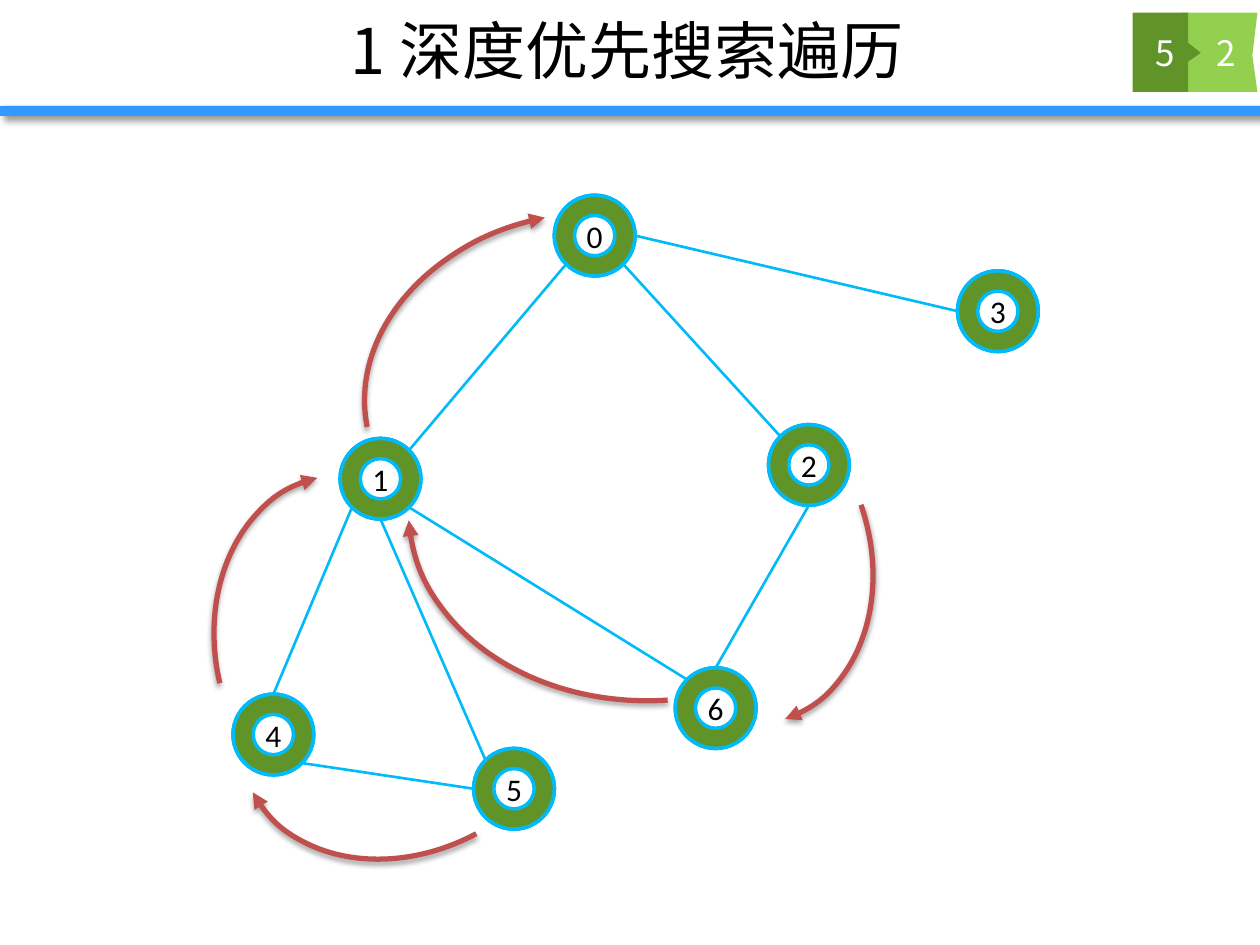
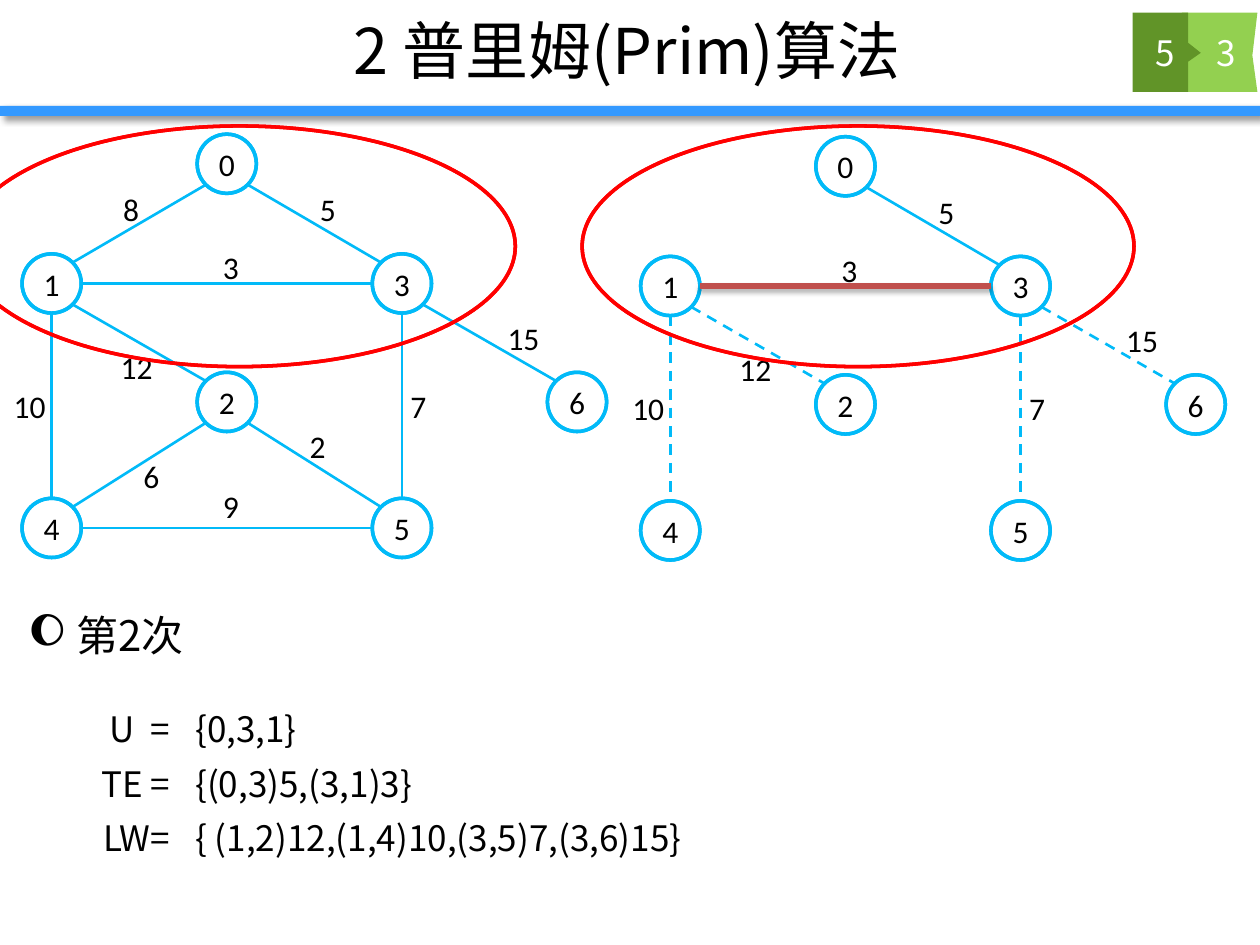
from dataclasses import dataclass
from math import cos, radians, sin
from typing import NamedTuple, Optional

from lxml.etree import SubElement
from pptx import Presentation
from pptx.dml.color import RGBColor
from pptx.enum.dml import MSO_LINE as Dash
from pptx.enum.shapes import MSO_CONNECTOR as Connector, MSO_SHAPE as Preset
from pptx.enum.text import MSO_ANCHOR as Anchor, MSO_AUTO_SIZE as AutoSize, PP_ALIGN as Align
from pptx.oxml.ns import qn
from pptx.util import Emu, Inches, Pt

BLACK = RGBColor(0x00, 0x00, 0x00)
WHITE = RGBColor(0xFF, 0xFF, 0xFF)
BAND_BLUE = RGBColor(0x33, 0x99, 0xFF)
EDGE_BLUE = RGBColor(0x01, 0xBA, 0xF8)
LIGHT_GREEN = RGBColor(0x93, 0xD0, 0x50)
DARK_GREEN = RGBColor(0x61, 0x94, 0x28)
PATH_RED = RGBColor(0xC0, 0x50, 0x4D)
SET_RED = RGBColor(0xFF, 0x00, 0x00)
LATIN, CHINESE = "Calibri", "Noto Sans CJK SC"

SLIDE_WIDTH, SLIDE_HEIGHT = Inches(10), Inches(7.5)
GRID_COLUMNS = 10
CELL = SLIDE_WIDTH / GRID_COLUMNS
TWO_CONTENT = 3
ANGLES = {"E": 0, "SE": 45, "S": 90, "SW": 135, "W": 180, "NW": 225, "N": 270, "NE": 315}


class Point(NamedTuple):
    x: float
    y: float


class Box(NamedTuple):
    x: float
    y: float
    width: float
    height: float


class Shadow(NamedTuple):
    blur: float
    distance: float
    direction: int
    opacity: int


BAND_SHADOW = Shadow(4, 3, 45, 40)
PATH_SHADOW = Shadow(3.1, 1.8, 90, 35)


@dataclass(frozen=True)
class Stroke:
    color: RGBColor
    width: float
    dashed: bool = False
    shadow: Optional[Shadow] = None


OUTLINE = Stroke(EDGE_BLUE, 2)
EDGE = Stroke(EDGE_BLUE, 1.5)
CANDIDATE = Stroke(EDGE_BLUE, 1.5, dashed=True)
PATH = Stroke(PATH_RED, 3, shadow=PATH_SHADOW)
VERTEX_SET = Stroke(SET_RED, 2)


class Edge(NamedTuple):
    start: int
    start_side: str
    end: int
    end_side: str


class Weight(NamedTuple):
    edge: Edge
    value: str
    x: float
    y: float
    tree_stroke: Optional[Stroke] = None


class BackArc(NamedTuple):
    box: Box
    rotation: float


DFS_VERTICES = {
    0: Point(4.72, 1.87), 1: Point(3.02, 3.8), 2: Point(6.42, 3.69), 3: Point(7.92, 2.47),
    4: Point(2.17, 5.83), 5: Point(4.08, 6.26), 6: Point(5.68, 5.62),
}
DFS_EDGES = [
    Edge(0, "SW", 1, "NE"), Edge(0, "E", 3, "W"), Edge(0, "SE", 2, "NW"), Edge(6, "N", 2, "S"),
    Edge(6, "NW", 1, "SE"), Edge(5, "NW", 1, "S"), Edge(4, "N", 1, "SW"), Edge(4, "SE", 5, "W"),
]
DFS_ARCS = [
    BackArc(Box(1.84, 4.5, 2.82, 2.25), 151.9),
    BackArc(Box(1.43, 4.04, 2.82, 2.25), 256.8),
    BackArc(Box(4.36, 3.25, 2.82, 2.25), 70.9),
    BackArc(Box(3.24, 2.44, 3.91, 3.12), 176.2),
    BackArc(Box(3.24, 1.34, 2.7, 3.42), 258.6),
]

VERTEX_COLUMNS = [0.41 + 1.39 * column for column in range(4)]
VERTEX_ROWS = [1.3, 2.25, 3.19, 4.19]
PRIM_CELLS = {0: (1, 0), 1: (0, 1), 2: (1, 2), 3: (2, 1), 4: (0, 3), 5: (2, 3), 6: (3, 2)}
PRIM_WEIGHTS = [
    Weight(Edge(0, "SW", 1, "NE"), "8", 0.88, 1.46),
    Weight(Edge(3, "NW", 0, "SE"), "5", 2.44, 1.46, EDGE),
    Weight(Edge(3, "SE", 6, "NW"), "15", 3.93, 2.48, CANDIDATE),
    Weight(Edge(3, "S", 5, "N"), "7", 3.16, 3.02, CANDIDATE),
    Weight(Edge(1, "S", 4, "N"), "10", 0.01, 3.02, CANDIDATE),
    Weight(Edge(1, "E", 3, "W"), "3", 1.67, 1.92, PATH),
    Weight(Edge(4, "E", 5, "W"), "9", 1.67, 3.82),
    Weight(Edge(1, "SE", 2, "NW"), "12", 0.86, 2.71, CANDIDATE),
    Weight(Edge(5, "NW", 2, "SE"), "2", 2.36, 3.34),
    Weight(Edge(2, "SW", 4, "NE"), "6", 1.04, 3.58),
]
TREE_SHIFT = Point(4.91, 0.02)
PRIM_SETS = [
    ("U  =", "{0,3,1}"),
    ("TE =", "{(0,3)5,(3,1)3}"),
    ("LW=", "{ (1,2)12,(1,4)10,(3,5)7,(3,6)15}"),
]

TAG_RIGHT = [(9.38, 0.1), (9.98, 0.1), (9.94, 0.44), (9.98, 0.73), (9.38, 0.73)]
TAG_LEFT = [(8.99, 0.1), (9.43, 0.1), (9.43, 0.34), (9.53, 0.42), (9.43, 0.49),
            (9.43, 0.73), (8.99, 0.73)]


def span(cells: float) -> Emu:
    return Emu(round(cells * CELL))


def place(shape, box: Box) -> None:
    shape.left, shape.top, shape.width, shape.height = map(span, box)


def write(frame, text: str, size: float, font: str, color=BLACK, align=Align.CENTER) -> None:
    frame.text = text
    paragraph = frame.paragraphs[0]
    paragraph.alignment = align
    for run in paragraph.runs:
        run.font.size, run.font.name, run.font.bold = Pt(size), font, False
        run.font.color.rgb = color
        SubElement(run._r.get_or_add_rPr(), qn("a:ea"), typeface=font)


def set_indent(paragraph, indent: float):
    properties = paragraph._p.get_or_add_pPr()
    properties.set("marL", str(span(indent)))
    properties.set("indent", str(span(-indent)))
    return properties


def apply_effects(shape, shadow: Optional[Shadow]) -> None:
    effects = SubElement(shape.element.spPr, qn("a:effectLst"))
    if shadow:
        outer = SubElement(effects, qn("a:outerShdw"), blurRad=str(Pt(shadow.blur)),
                           dist=str(Pt(shadow.distance)), dir=str(shadow.direction * 60000),
                           rotWithShape="0")
        color = SubElement(outer, qn("a:srgbClr"), val=str(BLACK))
        SubElement(color, qn("a:alpha"), val=str(shadow.opacity * 1000))


def apply_stroke(shape, stroke: Stroke) -> None:
    shape.line.color.rgb = stroke.color
    shape.line.width = Pt(stroke.width)
    if stroke.dashed:
        shape.line.dash_style = Dash.DASH
    apply_effects(shape, stroke.shadow)


def fill_plain(shape, color: RGBColor, shadow: Optional[Shadow] = None) -> None:
    shape.fill.solid()
    shape.fill.fore_color.rgb = color
    shape.line.fill.background()
    apply_effects(shape, shadow)


def add_tag(slide, outline: list, color: RGBColor) -> None:
    corners = [(span(x), span(y)) for x, y in outline]
    builder = slide.shapes.build_freeform(*corners[0], scale=1.0)
    builder.add_line_segments(corners[1:], close=True)
    fill_plain(builder.convert_to_shape(), color)


def add_base(deck, heading: str, chapter: str, step: str):
    slide = deck.slides.add_slide(deck.slide_layouts[TWO_CONTENT])
    band = slide.shapes.add_shape(Preset.RECTANGLE, 0, 0, 0, 0)
    place(band, Box(0, 0.84, GRID_COLUMNS, 0.08))
    fill_plain(band, BAND_BLUE, BAND_SHADOW)
    add_tag(slide, TAG_RIGHT, LIGHT_GREEN)
    add_tag(slide, TAG_LEFT, DARK_GREEN)

    title, step_number, chapter_number = slide.placeholders
    for holder, box, text, size, color in (
        (title, Box(0.98, 0.01, 7.99, 0.77), heading, 36, BLACK),
        (step_number, Box(9.42, 0.1, 0.62, 0.63), step, 20, WHITE),
        (chapter_number, Box(8.94, 0.1, 0.62, 0.63), chapter, 20, WHITE),
    ):
        place(holder, box)
        frame = holder.text_frame
        frame.auto_size, frame.vertical_anchor = AutoSize.NONE, Anchor.MIDDLE
        write(frame, text, size, CHINESE, color)
        SubElement(set_indent(frame.paragraphs[0], 0), qn("a:buNone"))
        frame.paragraphs[0].space_before = Pt(0)
        slide.shapes._spTree.append(holder.element)
    return slide


def add_ring(slide, box: Box, stroke: Stroke, thickness: float = 0):
    ring = slide.shapes.add_shape(Preset.DONUT, 0, 0, 0, 0)
    place(ring, box)
    ring.adjustments[0] = thickness
    ring.fill.solid()
    ring.fill.fore_color.rgb = DARK_GREEN
    apply_stroke(ring, stroke)
    return ring


def vertex_box(center: Point, size: float) -> Box:
    return Box(center.x - size / 2, center.y - size / 2, size, size)


def add_vertices(slide, vertices: dict, size: float) -> None:
    for number, center in vertices.items():
        frame = add_ring(slide, vertex_box(center, size), OUTLINE).text_frame
        frame.margin_left = frame.margin_right = frame.margin_top = frame.margin_bottom = 0
        frame.vertical_anchor = Anchor.MIDDLE
        write(frame, str(number), 18, LATIN)


def rim(center: Point, side: str, size: float) -> tuple:
    angle = radians(ANGLES[side])
    return span(center.x + size / 2 * cos(angle)), span(center.y + size / 2 * sin(angle))


def add_edge(slide, vertices: dict, edge: Edge, size: float, stroke: Stroke = EDGE) -> None:
    start = rim(vertices[edge.start], edge.start_side, size)
    end = rim(vertices[edge.end], edge.end_side, size)
    apply_stroke(slide.shapes.add_connector(Connector.STRAIGHT, *start, *end), stroke)


def add_back_arc(slide, arc: BackArc) -> None:
    shape = slide.shapes.add_shape(Preset.ARC, 0, 0, 0, 0)
    place(shape, arc.box)
    shape.rotation = arc.rotation
    shape.fill.background()
    apply_stroke(shape, PATH)
    SubElement(shape.element.spPr.find(qn("a:ln")), qn("a:tailEnd"), type="triangle")


def add_weight(slide, weight: Weight, shift: Point) -> None:
    width = 0.2 + 0.13 * len(weight.value)
    label = slide.shapes.add_textbox(0, 0, 0, 0)
    place(label, Box(weight.x + shift.x, weight.y + shift.y, width, 0.4))
    label.text_frame.word_wrap = False
    write(label.text_frame, weight.value, 18, LATIN, align=Align.LEFT)


def add_weighted_graph(slide, shift: Point, is_tree: bool) -> None:
    size = 0.47
    vertices = {number: Point(VERTEX_COLUMNS[column] + shift.x, VERTEX_ROWS[row] + shift.y)
                for number, (column, row) in PRIM_CELLS.items()}
    add_vertices(slide, vertices, size)
    shown = [weight for weight in PRIM_WEIGHTS if weight.tree_stroke or not is_tree]
    for weight in shown:
        add_edge(slide, vertices, weight.edge, size, weight.tree_stroke if is_tree else EDGE)
    for weight in shown:
        add_weight(slide, weight, shift)


def add_round(slide, text: str) -> None:
    heading = slide.shapes.add_textbox(0, 0, 0, 0)
    place(heading, Box(0.13, 4.71, 1.84, 0.54))
    heading.text_frame.word_wrap = True
    write(heading.text_frame, text, 24, CHINESE, align=Align.LEFT)
    paragraph = heading.text_frame.paragraphs[0]
    properties = set_indent(paragraph, 0.38)
    SubElement(properties, qn("a:buSzPct"), val="86000")
    SubElement(properties, qn("a:buChar"), char="🌔")
    paragraph.line_spacing = 1.2


def add_sets(slide) -> None:
    box = Box(0.42, 5.55, 9.13, 1.3)
    table = slide.shapes.add_table(len(PRIM_SETS), 2, *map(span, box)).table
    table.horz_banding = False
    table.columns[0].width, table.columns[1].width = span(1.03), span(8.1)
    for row, texts in enumerate(PRIM_SETS):
        for column, align in enumerate((Align.RIGHT, Align.LEFT)):
            cell = table.cell(row, column)
            cell.fill.background()
            cell.margin_top, cell.margin_bottom = span(0.02), span(0.01)
            write(cell.text_frame, texts[column], 20, CHINESE, align=align)


def build_depth_first(deck) -> None:
    size = 0.64
    slide = add_base(deck, "1 深度优先搜索遍历", "5", "2")
    add_vertices(slide, DFS_VERTICES, size)
    for edge in DFS_EDGES:
        add_edge(slide, DFS_VERTICES, edge, size)
    for center in DFS_VERTICES.values():
        add_ring(slide, vertex_box(center, size), OUTLINE, 0.25)
    for arc in DFS_ARCS:
        add_back_arc(slide, arc)


def build_prim(deck) -> None:
    slide = add_base(deck, "2 普里姆(Prim)算法", "5", "3")
    add_weighted_graph(slide, Point(0, 0), is_tree=False)
    add_round(slide, "第2次")
    add_weighted_graph(slide, TREE_SHIFT, is_tree=True)
    add_sets(slide)
    for shift in (TREE_SHIFT.x, 0):
        add_ring(slide, Box(shift - 0.29, 1, 4.38, 1.91), VERTEX_SET)


def main() -> None:
    deck = Presentation()
    deck.slide_width, deck.slide_height = SLIDE_WIDTH, SLIDE_HEIGHT
    build_depth_first(deck)
    build_prim(deck)
    deck.save("out.pptx")


if __name__ == "__main__":
    main()
